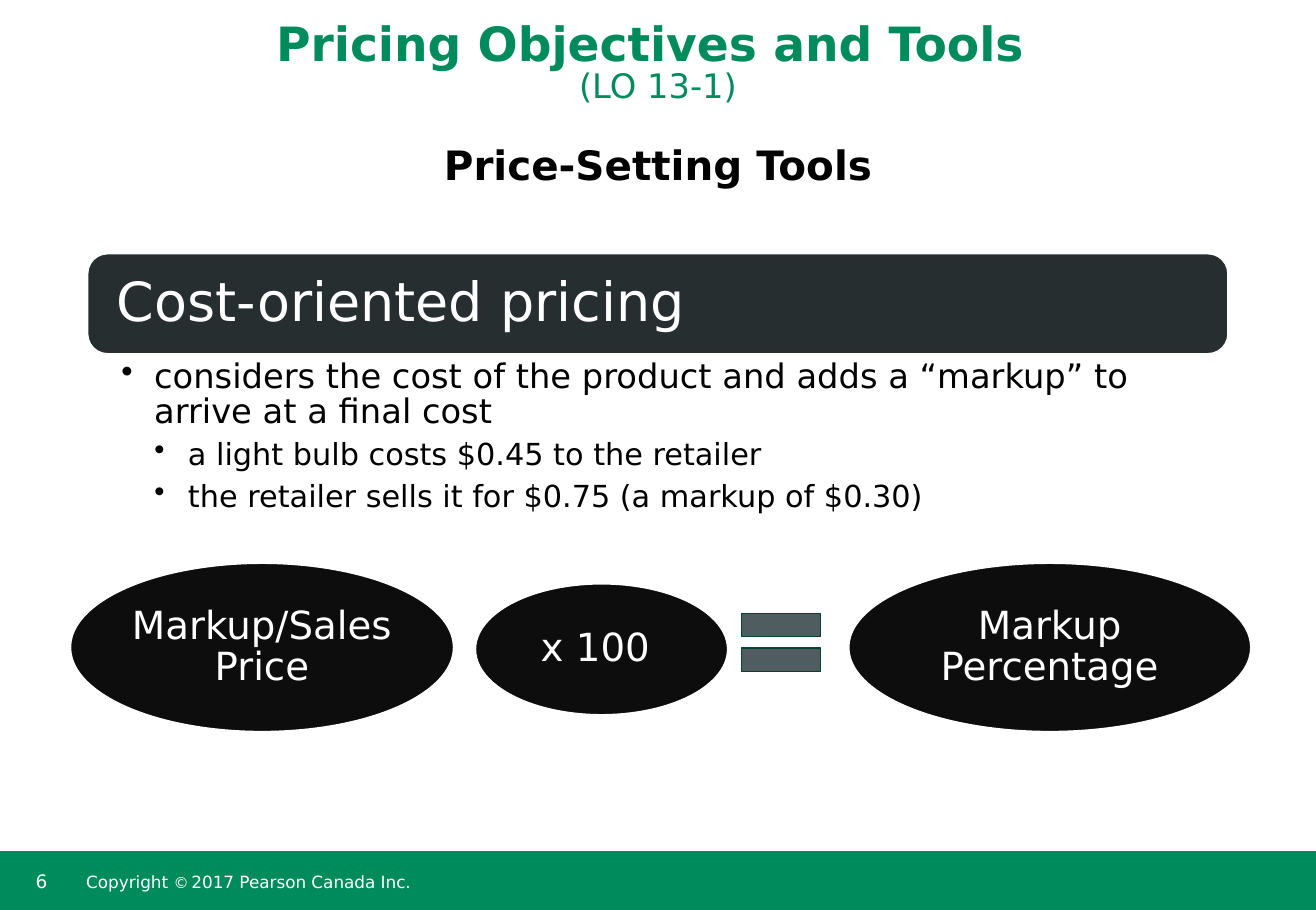
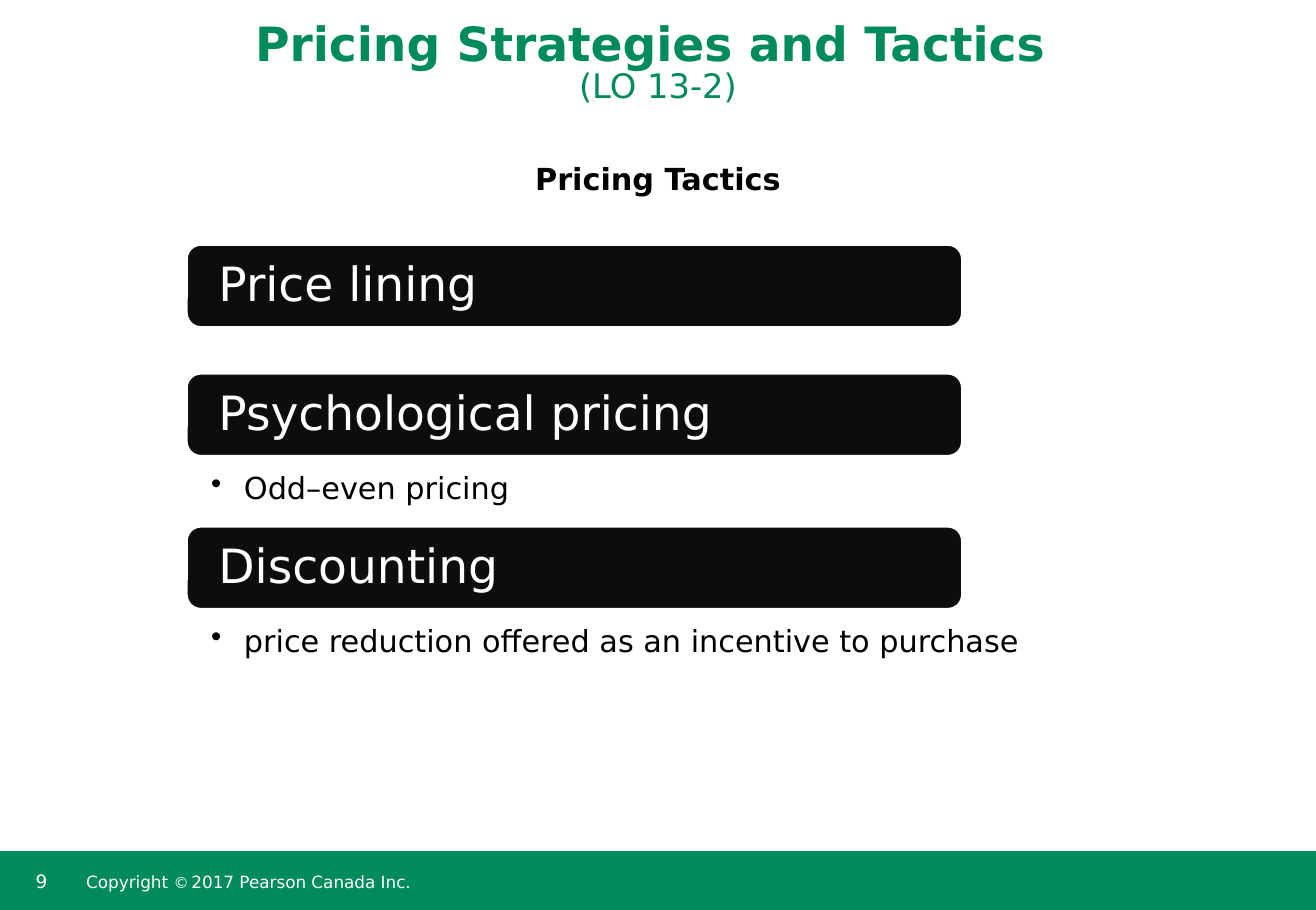
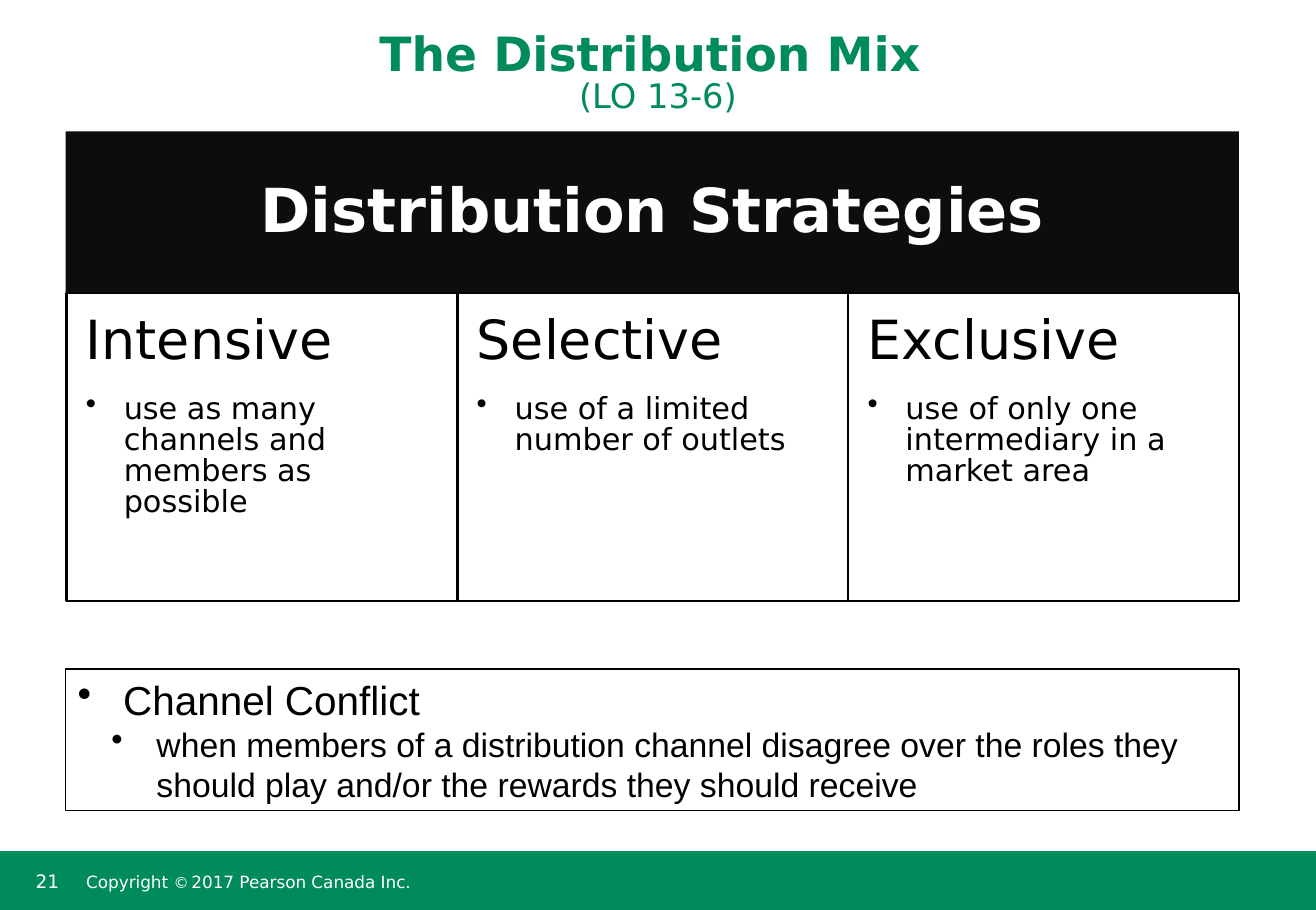
from dataclasses import dataclass

from lxml.etree import SubElement
from pptx import Presentation
from pptx.dml.color import RGBColor
from pptx.enum.shapes import MSO_SHAPE as Kind
from pptx.enum.text import MSO_ANCHOR as Anchor, PP_ALIGN as Align
from pptx.oxml.ns import qn
from pptx.util import Pt


@dataclass(frozen=True)
class Theme:
    green: str = "008B5D"
    dark_green: str = "00452E"
    slate: str = "272E30"
    grey: str = "4F5D61"
    ink: str = "0D0D0D"
    black: str = "000000"
    white: str = "FFFFFF"
    font: str = "DejaVu Sans"
    plain_font: str = "Arial"
    banner: int = 36
    heading: int = 32
    title: int = 28
    subheading: int = 24
    label: int = 23
    body: int = 20
    detail: int = 18
    page: int = 11
    footer: int = 10


theme = Theme()
WIDTH, HEIGHT = 781.2, 540

# Paragraph formats
PLAIN = {}
CENTERED = {"alignment": Align.CENTER, "line_spacing": 0.85, "space_after": Pt(6.5)}
BULLET = {"alignment": Align.LEFT, "line_spacing": 0.85, "space_after": Pt(6.5)}
HEADING = {"alignment": Align.LEFT, "line_spacing": 0.9, "space_after": Pt(14)}
LABEL = {"alignment": Align.CENTER, "line_spacing": 0.9}
BAR = {"alignment": Align.LEFT, "line_spacing": 0.9}
LIST = {"alignment": Align.LEFT}


def add_box(slide, kind, at, fill=None, line=None, line_width=1,
            insets=(7.2, 3.6, 7.2, 3.6), anchor=Anchor.TOP):
    """Add a preset shape, or a text box when kind is None."""
    lengths = [Pt(value) for value in at]
    if kind is None:
        shape = slide.shapes.add_textbox(*lengths)
    else:
        shape = slide.shapes.add_shape(kind, *lengths)
        shape.shadow.inherit = False
        for part, color in ((shape.fill, fill), (shape.line.fill, line)):
            if color:
                part.solid()
                part.fore_color.rgb = RGBColor.from_string(color)
            else:
                part.background()
        if line:
            shape.line.width = Pt(line_width)
    left, top, right, bottom = (Pt(value) for value in insets)
    frame_format = {"word_wrap": True, "vertical_anchor": anchor,
                    "margin_left": left, "margin_top": top,
                    "margin_right": right, "margin_bottom": bottom}
    for name, value in frame_format.items():
        setattr(shape.text_frame, name, value)
    return shape


def add_text(shape, runs, paragraph_format, color=theme.black, font=theme.font,
             hanging=None):
    """Add one paragraph of (text, size, bold) runs; hanging is (margin, indent)."""
    frame = shape.text_frame
    paragraph = frame.paragraphs[0]
    if paragraph.runs:
        paragraph = frame.add_paragraph()
    for name, value in paragraph_format.items():
        setattr(paragraph, name, value)
    if hanging:
        properties = paragraph._p.get_or_add_pPr()
        properties.set("marL", str(Pt(hanging[0])))
        properties.set("indent", str(Pt(-hanging[1])))
        SubElement(properties, qn("a:buChar")).set("char", "•")
    for text, size, bold in runs:
        run = paragraph.add_run()
        run.text = text.rstrip("\n")
        for name, value in {"name": font, "size": Pt(size), "bold": bold}.items():
            setattr(run.font, name, value)
        run.font.color.rgb = RGBColor.from_string(color)
        if text.endswith("\n"):
            paragraph.add_line_break()


presentation = Presentation()
presentation.slide_width, presentation.slide_height = Pt(WIDTH), Pt(HEIGHT)

# Shared title, footer band, page number and copyright line
slides = []
for number, title, objective, title_height in (
    ("6", "Pricing Objectives and Tools", "(LO 13-1)", 66),
    ("9", "Pricing Strategies and Tactics", "(LO 13-2)", 66),
    ("21", "The Distribution Mix", "(LO 13-6)", 72),
):
    slide = presentation.slides.add_slide(presentation.slide_layouts[6])
    slides.append(slide)
    add_box(slide, Kind.RECTANGLE, (0, 505, WIDTH, 35), theme.green)
    page = add_box(slide, None, (14, 512.6, 34, 23))
    add_text(page, [(number, theme.page, False)], PLAIN, theme.white)
    notice = add_box(slide, None, (47.6, 505, 416, 35),
                     insets=(3.6, 7.2, 3.6, 3.6), anchor=Anchor.MIDDLE)
    add_text(notice, [("Copyright ", theme.footer, False), ("©", 9, False),
                      (" ", 5, False),
                      ("2017 Pearson Canada Inc.", theme.footer, False)],
             {"line_spacing": 0.85}, theme.white)
    title_box = add_box(slide, None, (0, 0, WIDTH, title_height), anchor=Anchor.BOTTOM)
    add_text(title_box, [(title + " \n", theme.title, True),
                         (objective, theme.body, False)], CENTERED, theme.green)

tools_slide, tactics_slide, distribution_slide = slides

# Subheadings
for slide, text, size, top in (
    (tools_slide, "Price-Setting Tools", theme.subheading, 84.2),
    (tactics_slide, "Pricing Tactics", theme.detail, 95),
):
    subheading = add_box(slide, None, (32.4, top, 716.4, 50))
    add_text(subheading, [(text, size, True)], CENTERED)

# Price-setting tools: heading bar and its points
bar = add_box(tools_slide, Kind.ROUNDED_RECTANGLE, (52, 150.5, 677, 59.5),
              theme.slate, theme.white, insets=(14, 14, 14, 14), anchor=Anchor.MIDDLE)
bar.adjustments[0] = 0.2
add_text(bar, [("Cost-oriented pricing", theme.heading, False)], BAR, theme.white)

points = add_box(tools_slide, None, (52, 210, 677, 104), insets=(20, 4.3, 24.5, 4.3))
for text, size, hanging in (
    ("considers the cost of the product and adds a “markup” to arrive at a final cost",
     theme.body, (19.5, 19.5)),
    ("a light bulb costs $0.45 to the retailer", theme.detail, (39.6, 20)),
    ("the retailer sells it for $0.75 (a markup of $0.30)", theme.detail, (39.6, 20)),
):
    add_text(points, [(text, size, False)], BULLET, hanging=hanging)

# Markup formula
for text, at in (
    ("Markup/Sales Price", (41.8, 334.2, 227.5, 100)),
    ("x 100 ", (282.2, 346.4, 149.8, 77.8)),
    ("Markup Percentage", (503.8, 334.2, 238.8, 100)),
):
    term = add_box(tools_slide, Kind.OVAL, at, theme.ink, theme.white,
                   insets=(0, 0, 0, 0), anchor=Anchor.MIDDLE)
    add_text(term, [(text, theme.label, False)], LABEL, theme.white)
add_box(tools_slide, Kind.MATH_EQUAL, (432, 352, 63.4, 58.3),
        theme.grey, theme.dark_green, 0.75)

# Pricing tactics: a bar each, with room below for a point
top = 145.4
for tactic, point in (
    ("Price lining", None),
    ("Psychological pricing", "Odd–even pricing"),
    ("Discounting", "price reduction offered as an incentive to purchase"),
):
    bar = add_box(tactics_slide, Kind.ROUNDED_RECTANGLE, (111, top, 460, 48.6),
                  theme.ink, theme.white, insets=(16.3, 0, 16.3, 0),
                  anchor=Anchor.MIDDLE)
    bar.adjustments[0] = 0.17
    add_text(bar, [(tactic, theme.title, False)], BAR, theme.white)
    if point:
        point_box = add_box(tactics_slide, None, (125.3, top + 59.8, 564, 22),
                            insets=(0, 0, 0, 0))
        add_text(point_box, [(point, theme.detail, False)], BULLET,
                 hanging=(19.5, 19.5))
    top += 90.8 if point else 76.4

# Distribution strategies: banner above three columns
LEFT, GRID_WIDTH = 39, 696.5
banner = add_box(distribution_slide, Kind.RECTANGLE, (LEFT, 78, GRID_WIDTH, 96),
                 theme.ink, anchor=Anchor.MIDDLE)
add_text(banner, [("Distribution Strategies", theme.banner, True)], LABEL, theme.white)

strategies = (
    ("Intensive", "use as many channels and members as possible"),
    ("Selective", "use of a limited number of outlets"),
    ("Exclusive", "use of only one intermediary in a market area"),
)
column_width = 232
for index, (strategy, meaning) in enumerate(strategies):
    column = add_box(distribution_slide, Kind.RECTANGLE,
                     (LEFT + 0.5 + index * column_width, 174, column_width, 182.6),
                     theme.white, theme.black, 1.5, insets=(11.5, 11.5, 11.5, 11.5))
    add_text(column, [(strategy, theme.heading, False)], HEADING)
    add_text(column, [(meaning, theme.detail, False)], BULLET, hanging=(22.5, 22.5))

# Channel conflict
conflict = add_box(distribution_slide, Kind.RECTANGLE, (LEFT, 397, GRID_WIDTH, 84),
                   line=theme.black, line_width=0.75)
for text, size, hanging in (
    ("Channel Conflict", theme.subheading, (27, 27)),
    ("when members of a distribution channel disagree over the roles they should "
     "play and/or the rewards they should receive", theme.body, (46.8, 26.8)),
):
    add_text(conflict, [(text, size, False)], LIST, font=theme.plain_font,
             hanging=hanging)

presentation.save("out.pptx")
